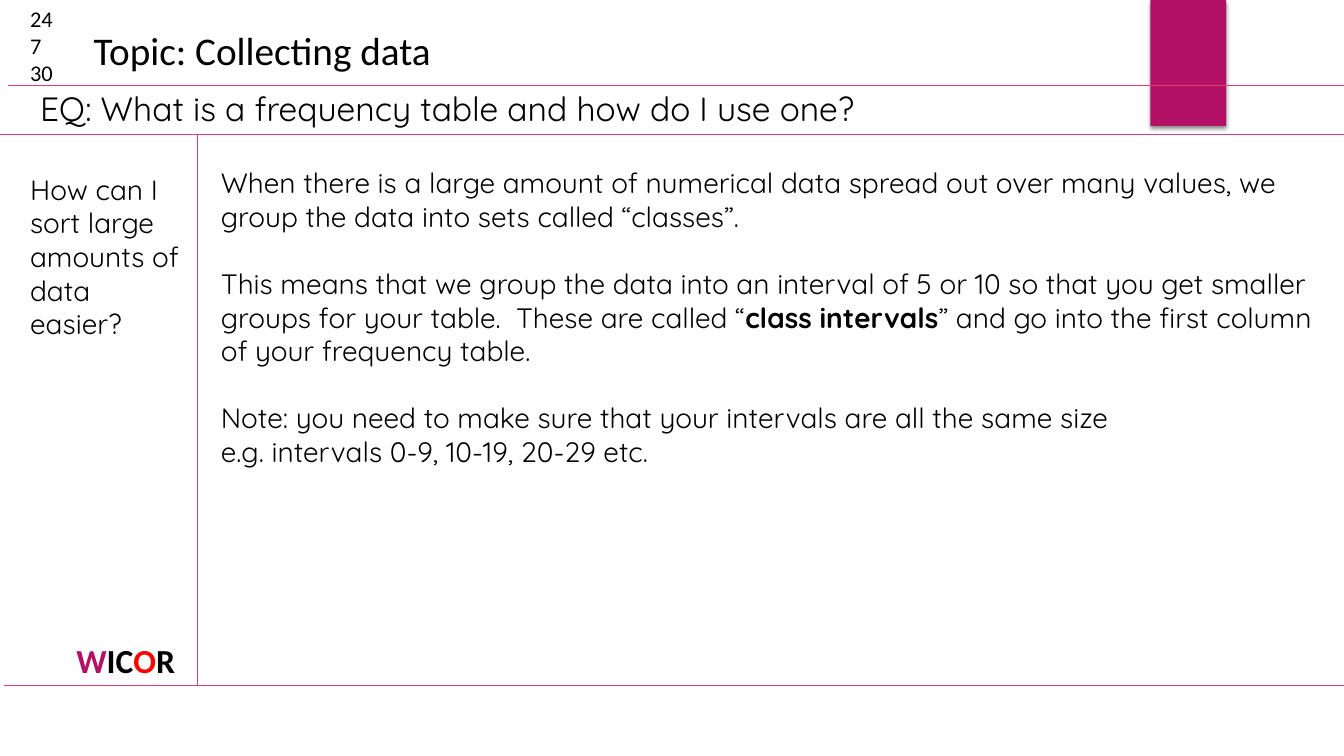
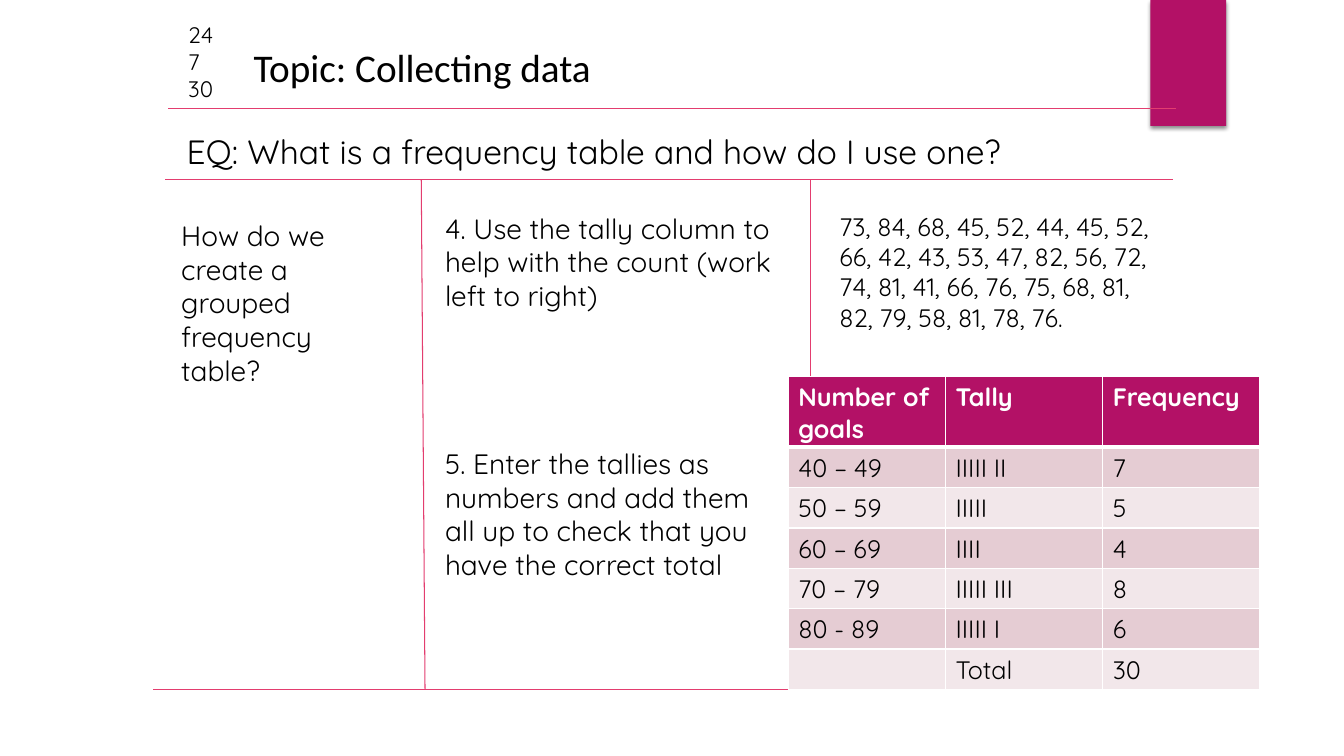
from dataclasses import dataclass

from lxml.etree import SubElement
from pptx import Presentation
from pptx.dml.color import RGBColor
from pptx.enum.shapes import MSO_CONNECTOR as Connector, MSO_SHAPE as Preset
from pptx.enum.text import MSO_ANCHOR as Anchor, MSO_AUTO_SIZE as AutoSize, PP_ALIGN as Align
from pptx.oxml import parse_xml
from pptx.oxml.ns import nsdecls, qn
from pptx.util import Pt

MAGENTA = RGBColor(0xB3, 0x11, 0x66)
ROSE = RGBColor(0xE3, 0x3D, 0x6F)
BAND_DARK = RGBColor(0xE5, 0xCC, 0xD3)
BAND_LIGHT = RGBColor(0xF2, 0xE7, 0xEA)
RED = RGBColor(0xFF, 0x00, 0x00)
BLACK = RGBColor(0x00, 0x00, 0x00)
WHITE = RGBColor(0xFF, 0xFF, 0xFF)

HEADING_FONT = "Calibri"
BODY_FONT = "Quicksand"
TOPIC = "Topic: Collecting data"
QUESTION = "EQ: What is a frequency table and how do I use one?"
COUNTER = ["24", "7", "30"]
LINE_PITCH = 24

TALLY_ROWS = [
    ("Number of goals", "Tally", "Frequency"),
    ("40 – 49", "IIIII II", "7"),
    ("50 – 59", "IIIII", "5"),
    ("60 – 69", "IIII", "4"),
    ("70 – 79", "IIIII III", "8"),
    ("80 - 89", "IIIII I", "6"),
    ("", "Total", "30"),
]


@dataclass
class Box:
    left: float
    top: float
    width: float
    height: float

    def lengths(self):
        return Pt(self.left), Pt(self.top), Pt(self.width), Pt(self.height)


BANNER = Box(821.8, 0, 54, 90)


def format_span(span, font, size, color=BLACK, bold=False):
    span.font.name = font
    span.font.size = Pt(size)
    span.font.color.rgb = color
    span.font.bold = bold


def add_text(page, box, lines, size, font=BODY_FONT, gaps=None):
    frame = page.shapes.add_textbox(*box.lengths()).text_frame
    frame.word_wrap = True
    frame.text = "\n".join(lines)
    for index, para in enumerate(frame.paragraphs):
        if gaps and index in gaps:
            para.space_before = Pt(gaps[index])
        for span in para.runs:
            format_span(span, font, size)
    return frame


def add_spans(para, parts, font, size):
    for text, color, bold in parts:
        span = para.add_run()
        span.text = text
        format_span(span, font, size, color, bold)


def add_rules(page, ends):
    for start_x, start_y, end_x, end_y in ends:
        rule = page.shapes.add_connector(
            Connector.STRAIGHT, Pt(start_x), Pt(start_y), Pt(end_x), Pt(end_y))
        rule.line.color.rgb = ROSE
        rule.line.width = Pt(0.75)
        SubElement(rule.element.spPr, qn("a:effectLst"))


def add_banner(page, box):
    banner = page.shapes.add_shape(Preset.RECTANGLE, *box.lengths())
    banner.fill.solid()
    banner.fill.fore_color.rgb = MAGENTA
    banner.line.fill.background()
    banner.shadow.inherit = False
    effects = banner.element.spPr.find(qn("a:effectLst"))
    effects.append(parse_xml(
        f'<a:outerShdw {nsdecls("a")} blurRad="{Pt(3)}" dist="{Pt(2)}" dir="5400000"'
        ' rotWithShape="0"><a:srgbClr val="000000"><a:alpha val="45000"/>'
        '</a:srgbClr></a:outerShdw>'))


def add_heading(page, box, counter_font, title_indent):
    add_text(page, Box(box.left, box.top, 45.4, box.height), COUNTER, 16, counter_font)
    title = page.shapes.title
    title.left, title.top, title.width, title.height = Box(
        box.left + title_indent, box.top + 15.5, box.width - title_indent, 41).lengths()
    frame = title.text_frame
    frame.text = TOPIC
    frame.word_wrap = False
    frame.auto_size = AutoSize.NONE
    frame.vertical_anchor = Anchor.TOP
    para = frame.paragraphs[0]
    para.alignment = Align.LEFT
    format_span(para.runs[0], HEADING_FONT, 28)


def add_wicor(page, box):
    frame = page.shapes.add_textbox(*box.lengths()).text_frame
    frame.word_wrap = True
    para = frame.paragraphs[0]
    para.alignment = Align.CENTER
    parts = [("W", MAGENTA, True), ("IC", BLACK, True), ("O", RED, True), ("R", BLACK, True)]
    add_spans(para, parts, HEADING_FONT, 24)


def set_borders(cell, top, bottom):
    properties = cell._tc.get_or_add_tcPr()
    widths = [("lnL", 1), ("lnR", 1), ("lnT", top), ("lnB", bottom)]
    for index, (side, width) in enumerate(widths):
        properties.insert(index, parse_xml(
            f'<a:{side} {nsdecls("a")} w="{Pt(width)}"><a:solidFill>'
            f'<a:srgbClr val="{WHITE}"/></a:solidFill></a:{side}>'))


def add_tally_table(page, box):
    row_count, column_count = len(TALLY_ROWS), len(TALLY_ROWS[0])
    table = page.shapes.add_table(row_count, column_count, *box.lengths()).table
    row_height = 28.8
    for column in table.columns:
        column.width = Pt(box.width / column_count)
    for index, values in enumerate(TALLY_ROWS):
        header = index == 0
        table.rows[index].height = Pt(
            box.height - row_height * (row_count - 1) if header else row_height)
        band = MAGENTA if header else BAND_DARK if index % 2 else BAND_LIGHT
        for cell, value in zip(table.rows[index].cells, values):
            cell.fill.solid()
            cell.fill.fore_color.rgb = band
            set_borders(cell, 3 if index == 1 else 1, 3 if header else 1)
            cell.text = value
            for span in cell.text_frame.paragraphs[0].runs:
                format_span(span, BODY_FONT, 18, WHITE if header else BLACK, header)


def build_explanation(page, box):
    right, floor, margin = box.left + box.width, box.top + 489.6, box.left + 141.1
    add_banner(page, BANNER)
    add_rules(page, [
        (box.left + 6, box.top + 61.2, right, box.top + 61.2),
        (box.left, box.top + 96.2, right, box.top + 96.2),
        (box.left + 3, floor, right, floor),
        (margin, box.top + 96.2, margin, floor),
    ])
    add_heading(page, Box(box.left + 14.4, box.top, 303, 65.5), HEADING_FONT, 45.2)
    add_text(page, Box(box.left + 21.6, box.top + 59.4, 838, 36), [QUESTION], 24)
    add_wicor(page, Box(box.left + 9.8, box.top + 453.6, 160, 36))
    add_text(page, Box(box.left + 14.4, box.top + 119.5, 121.7, 128),
             ["How can I sort large amounts of data easier?"], 20)
    frame = add_text(page, Box(box.left + 150.7, box.top + 114.8, 800, 247), [
        "When there is a large amount of numerical data spread out over many values, "
        "we group the data into sets called “classes”.",
        "",
        "Note: you need to make sure that your intervals are all the same size",
        "e.g. intervals 0-9, 10-19, 20-29 etc.",
    ], 20, gaps={1: LINE_PITCH, 2: LINE_PITCH})
    add_spans(frame.paragraphs[1], [
        ("This means that we group the data into an interval of 5 or 10 so that you get "
         "smaller groups for your table.  These are called “", BLACK, False),
        ("class intervals", BLACK, True),
        ("” and go into the first column of your frequency table.", BLACK, False),
    ], BODY_FONT, 20)


def build_worked_example(page, box):
    left, top, floor = box.left, box.top, box.top + box.height
    add_banner(page, BANNER)
    add_rules(page, [
        (left + 10.8, top + 65.8, left + 730.8, top + 65.8),
        (left + 8.6, top + 116.7, left + 728.6, top + 116.7),
        (left + 191.5, top + 116.7, left + 194.2, floor),
        (left + 469.5, top + 116.7, left + 469.5, floor),
        (left, floor, left + 720, floor),
    ])
    add_heading(page, Box(left + 18, top, 303, 65.5), BODY_FONT, 46.5)
    add_text(page, Box(left + 16.9, top + 78.5, 703.4, 36), [QUESTION], 24)
    add_text(page, Box(left + 13, top + 141.1, 165.6, 128),
             ["How do we create a grouped frequency table?"], 20)
    add_text(page, Box(left + 201.4, top + 135.8, 252.7, 296), [
        "4. Use the tally column to help with the count (work left to right)",
        "5. Enter the tallies as numbers and add them all up to check that you "
        "have the correct total",
    ], 20, gaps={1: 4 * LINE_PITCH})
    add_text(page, Box(left + 483.1, top + 135.8, 245.5, 160), [
        "73, 84, 68, 45, 52, 44, 45, 52, 66, 42, 43, 53, 47, 82, 56, 72, 74, 81, 41, "
        "66, 76, 75, 68, 81, 82, 79, 58, 81, 78, 76."], 18)
    add_tally_table(page, Box(left + 453.7, floor - 223.5, 337, 223.2))


def main():
    deck = Presentation()
    deck.slide_width, deck.slide_height = Pt(960), Pt(540)
    layout = deck.slide_layouts.get_by_name("Title Only")
    build_explanation(deck.slides.add_slide(layout), Box(0, 0, 960, 540))
    build_worked_example(deck.slides.add_slide(layout), Box(109.4, 11.5, 791, 481))
    deck.save("out.pptx")


if __name__ == "__main__":
    main()
